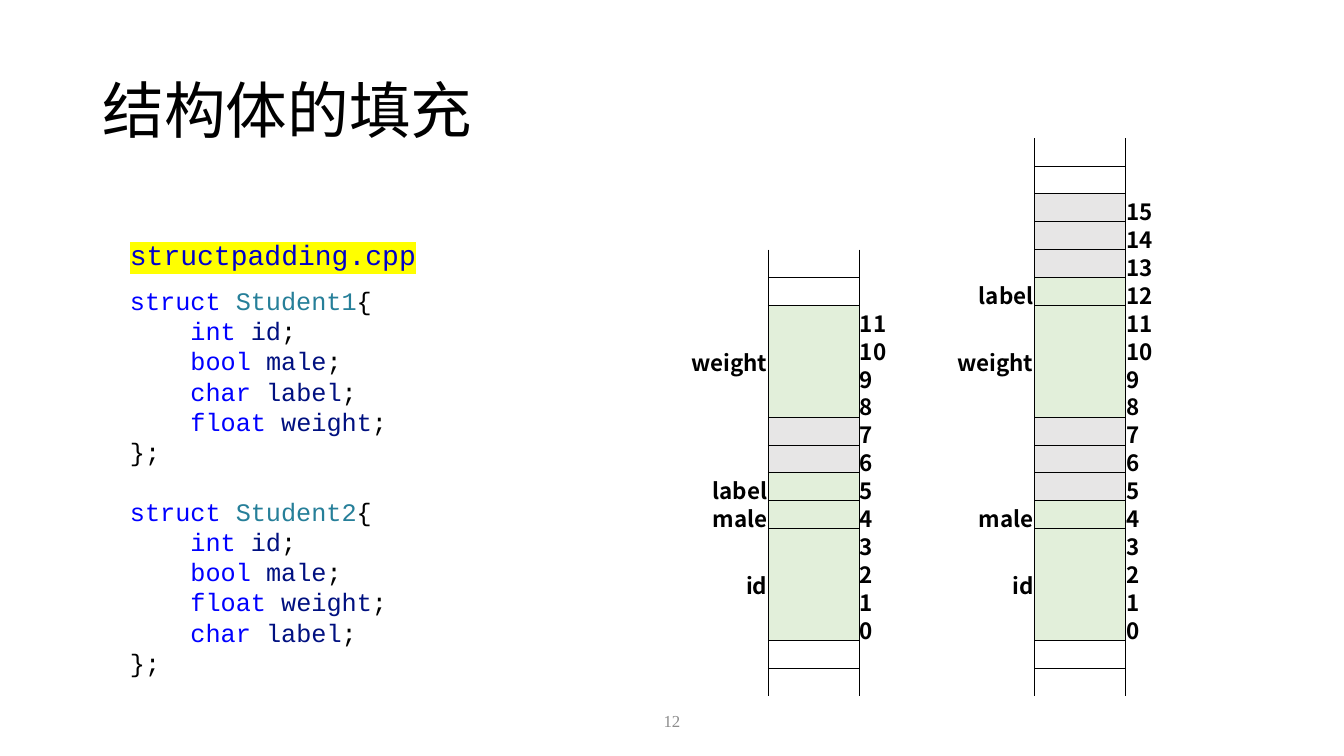
from dataclasses import dataclass

from lxml import etree
from pptx import Presentation
from pptx.dml.color import RGBColor
from pptx.enum.shapes import MSO_SHAPE
from pptx.enum.text import MSO_ANCHOR, PP_ALIGN
from pptx.oxml.ns import qn
from pptx.slide import Slide
from pptx.table import Table, _Cell
from pptx.text.text import TextFrame, _Run
from pptx.util import Inches, Pt

RECTANGLE = MSO_SHAPE.RECTANGLE
MIDDLE = MSO_ANCHOR.MIDDLE
LEFT, CENTER, RIGHT = PP_ALIGN.LEFT, PP_ALIGN.CENTER, PP_ALIGN.RIGHT

BLACK = RGBColor(0x00, 0x00, 0x00)
WHITE = RGBColor(0xFF, 0xFF, 0xFF)
PAGE_GRAY = RGBColor(0x8C, 0x8C, 0x8C)
KEYWORD_BLUE = RGBColor(0x00, 0x00, 0xFF)
TYPE_TEAL = RGBColor(0x26, 0x7F, 0x99)
MEMBER_NAVY = RGBColor(0x00, 0x10, 0x80)
FILE_BLUE = RGBColor(0x00, 0x00, 0xCC)
HIGHLIGHT = RGBColor(0xFF, 0xFF, 0x00)
USED_GREEN = RGBColor(0xE2, 0xEF, 0xDA)
PADDING_GRAY = RGBColor(0xE7, 0xE6, 0xE6)

SERIF, MONO, CJK = "Times New Roman", "Courier New", "Noto Sans CJK SC"
NO_STYLE = "{2D5ABB26-0587-4C30-8999-92F81FD0307C}"

ROW_COUNT = 20
BYTE_ZERO_ROW = 17
TABLE_HEIGHT = 5.52
COLUMN_WIDTHS = (0.91, 0.9, 0.47, 0.36, 0.91, 0.9, 0.45)


@dataclass(frozen=True)
class Member:
    kind: str
    name: str
    offset: int
    size: int


@dataclass(frozen=True)
class Struct:
    name: str
    members: tuple[Member, ...]
    size: int
    code_top: float
    code_size: tuple[float, float]
    first_column: int


STRUCTS = (
    Struct("Student1", (
        Member("int", "id", 0, 4),
        Member("bool", "male", 4, 1),
        Member("char", "label", 5, 1),
        Member("float", "weight", 8, 4),
    ), 12, 2.78, (3.13, 2.22), 0),
    Struct("Student2", (
        Member("int", "id", 0, 4),
        Member("bool", "male", 4, 1),
        Member("float", "weight", 8, 4),
        Member("char", "label", 12, 1),
    ), 16, 4.87, (3.47, 1.92), 4),
)


def style_run(run: _Run, size: float, font: str, color: RGBColor) -> None:
    run.font.size = Pt(size)
    run.font.color.rgb = color
    run.font.name = font
    east_asian = etree.SubElement(run._r.get_or_add_rPr(), qn("a:ea"))
    east_asian.set("typeface", CJK)


def add_text_box(slide: Slide, left: float, top: float, width: float, height: float) -> TextFrame:
    box = slide.shapes.add_textbox(Inches(left), Inches(top), Inches(width), Inches(height))
    box.text_frame.word_wrap = True
    return box.text_frame


def add_line(slide: Slide, text: str, area: tuple[float, float, float, float], size: float,
             color: RGBColor, align: PP_ALIGN, line_spacing: float = 1.0) -> None:
    """Add a vertically centred single line in the serif font."""
    frame = add_text_box(slide, *area)
    frame.vertical_anchor = MIDDLE
    frame.text = text
    frame.paragraphs[0].alignment = align
    frame.paragraphs[0].line_spacing = line_spacing
    style_run(frame.paragraphs[0].runs[0], size, SERIF, color)


def add_file_name(slide: Slide) -> None:
    label = slide.shapes.add_shape(RECTANGLE, Inches(1.19), Inches(2.3), Inches(3.06), Inches(0.44))
    label.shadow.inherit = False
    label.fill.solid()
    label.fill.fore_color.rgb = WHITE
    label.line.fill.background()
    frame = label.text_frame
    frame.word_wrap = False
    frame.vertical_anchor = MIDDLE
    frame.text = "structpadding.cpp"
    frame.paragraphs[0].alignment = LEFT
    run = frame.paragraphs[0].runs[0]
    run.font.color.rgb = FILE_BLUE
    highlight = etree.SubElement(run._r.get_or_add_rPr(), qn("a:highlight"))
    etree.SubElement(highlight, qn("a:srgbClr")).set("val", str(HIGHLIGHT))
    style_run(run, 20, MONO, FILE_BLUE)


def add_code(slide: Slide, struct: Struct) -> None:
    frame = add_text_box(slide, 1.19, struct.code_top, *struct.code_size)
    lines = [[("struct ", KEYWORD_BLUE), (struct.name, TYPE_TEAL), ("{", BLACK)]]
    for member in struct.members:
        lines.append([(f"    {member.kind} ", KEYWORD_BLUE), (member.name, MEMBER_NAVY), (";", BLACK)])
    lines.append([("};", BLACK)])
    for index, pieces in enumerate(lines):
        paragraph = frame.add_paragraph() if index else frame.paragraphs[0]
        paragraph.line_spacing = Pt(21.6)
        for text, color in pieces:
            run = paragraph.add_run()
            run.text = text
            style_run(run, 18, MONO, color)


def set_borders(cell: _Cell, sides: str) -> None:
    """Draw thin black lines on the sides named by the letters L, R, T and B."""
    properties = cell._tc.get_or_add_tcPr()
    for index, side in enumerate(sides):
        line = etree.Element(qn(f"a:ln{side}"), w=str(Pt(0.5)))
        fill = etree.SubElement(line, qn("a:solidFill"))
        etree.SubElement(fill, qn("a:srgbClr")).set("val", str(BLACK))
        properties.insert(index, line)


def write_cell(cell: _Cell, text: str, align: PP_ALIGN) -> None:
    cell.text = text
    paragraph = cell.text_frame.paragraphs[0]
    paragraph.alignment = align
    style_run(paragraph.runs[0], 16, CJK, BLACK)
    paragraph.runs[0].font.bold = True


def fill_cell(cell: _Cell, color: RGBColor) -> None:
    cell.fill.solid()
    cell.fill.fore_color.rgb = color


def draw_memory(table: Table, struct: Struct) -> None:
    """Draw one struct's bytes, with two free cells below and above them."""
    label_column, byte_column, number_column = (struct.first_column + i for i in range(3))
    top_row = BYTE_ZERO_ROW - struct.size - 1
    for row in range(top_row, ROW_COUNT):
        sides = "LRB" if row == top_row else "LRT" if row == ROW_COUNT - 1 else "LRTB"
        set_borders(table.cell(row, byte_column), sides)
        set_borders(table.cell(row, label_column), "R")
    for byte in range(struct.size):
        row = BYTE_ZERO_ROW - byte
        write_cell(table.cell(row, number_column), str(byte), LEFT)
        fill_cell(table.cell(row, byte_column), PADDING_GRAY)
    for member in struct.members:
        bottom = BYTE_ZERO_ROW - member.offset
        top = bottom - member.size + 1
        if member.size > 1:
            for column in (label_column, byte_column):
                table.cell(top, column).merge(table.cell(bottom, column))
        write_cell(table.cell(top, label_column), member.name, RIGHT)
        fill_cell(table.cell(top, byte_column), USED_GREEN)


def add_memory_table(slide: Slide) -> None:
    table = slide.shapes.add_table(
        ROW_COUNT, len(COLUMN_WIDTHS), Inches(6.71), Inches(1.37),
        Inches(sum(COLUMN_WIDTHS)), Inches(TABLE_HEIGHT)).table
    table.first_row = table.horz_banding = False
    table._tbl.tblPr.find(qn("a:tableStyleId")).text = NO_STYLE
    for column, width in zip(table.columns, COLUMN_WIDTHS):
        column.width = Inches(width)
    for cell in table.iter_cells():
        cell.margin_left = cell.margin_right = cell.margin_top = Inches(0.01)
        cell.margin_bottom = 0
        cell.vertical_anchor = MIDDLE
        cell.fill.background()
        end = etree.SubElement(cell.text_frame.paragraphs[0]._p, qn("a:endParaRPr"))
        end.set("sz", "1000")
    for struct in STRUCTS:
        draw_memory(table, struct)


def main() -> None:
    presentation = Presentation()
    presentation.slide_width, presentation.slide_height = Inches(13.33), Inches(7.5)
    slide = presentation.slides.add_slide(presentation.slide_layouts[6])
    slide.background.fill.solid()
    slide.background.fill.fore_color.rgb = WHITE
    add_line(slide, "结构体的填充", (0.92, 0.4, 11.5, 1.45), 44, BLACK, LEFT, 0.9)
    add_line(slide, "12", (6.26, 6.95, 0.81, 0.4), 12, PAGE_GRAY, CENTER)
    for struct in STRUCTS:
        add_code(slide, struct)
    add_file_name(slide)
    add_memory_table(slide)
    presentation.save("out.pptx")


if __name__ == "__main__":
    main()
